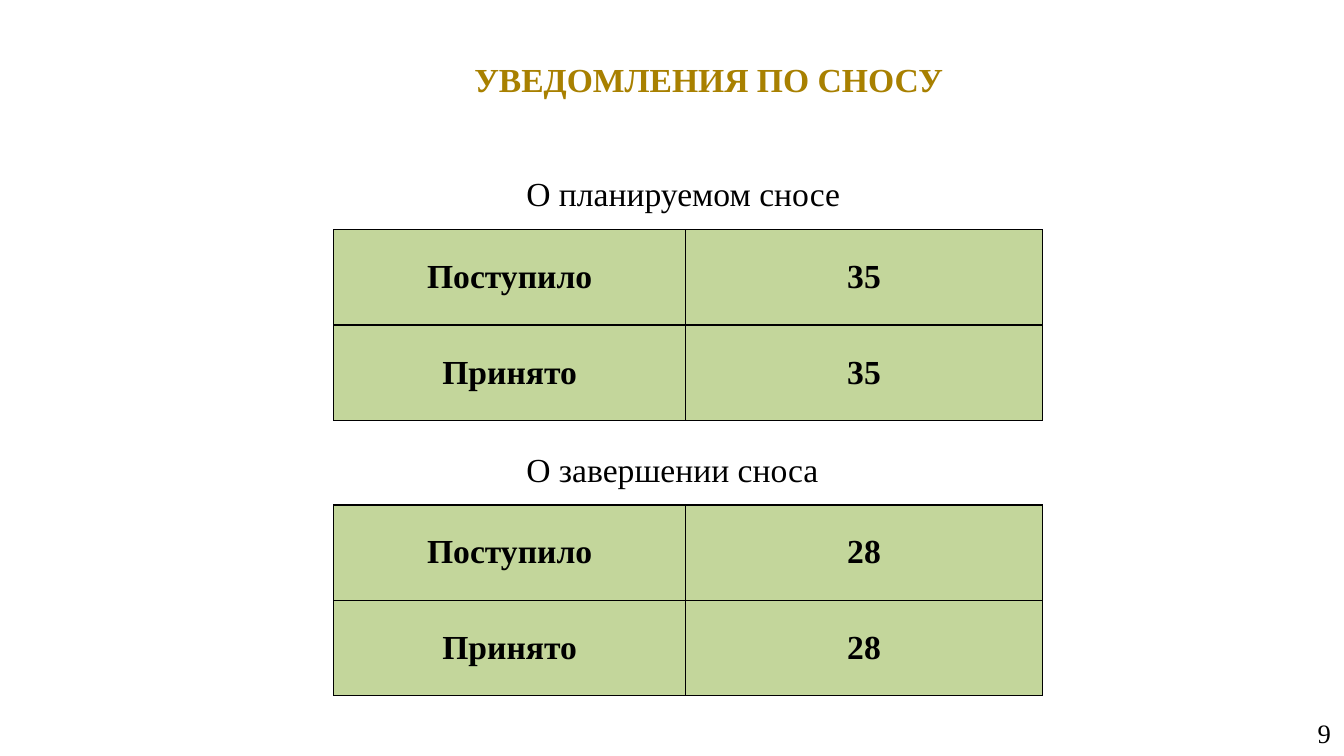
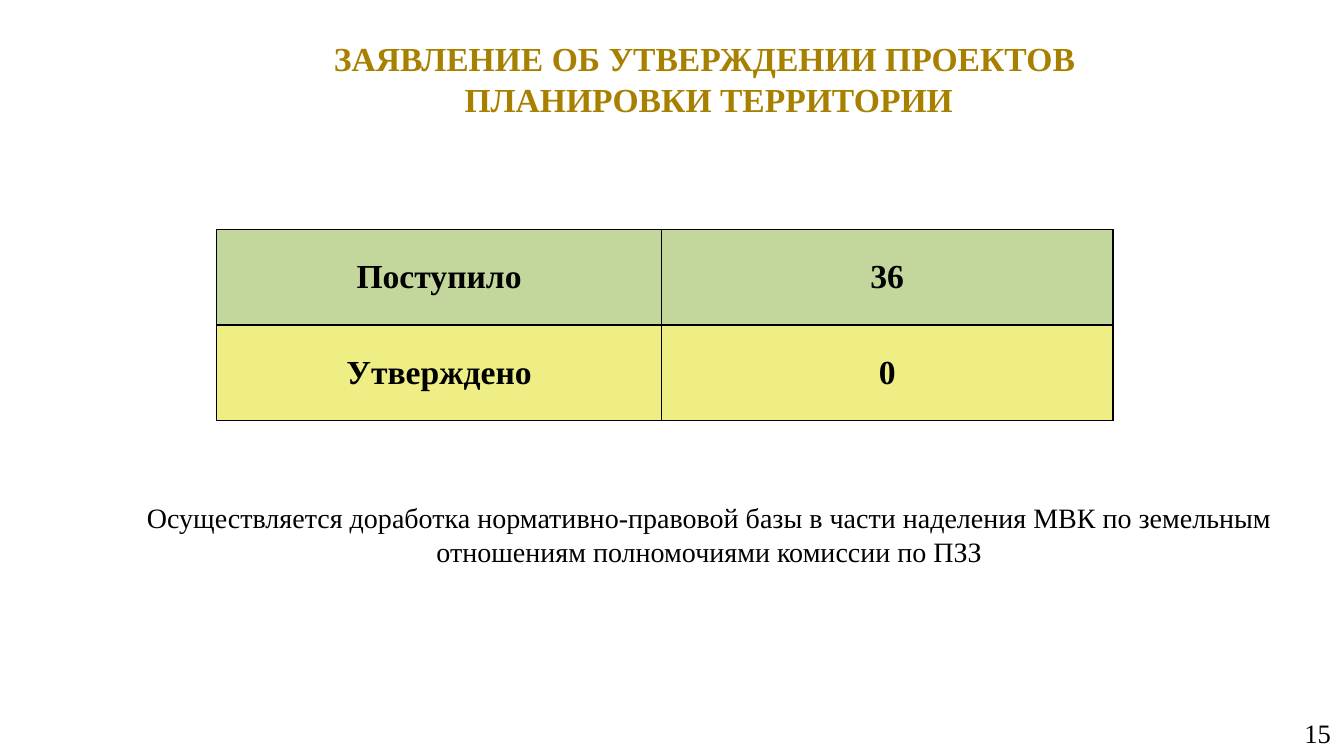
from dataclasses import dataclass
from typing import Optional

from lxml import etree
from pptx import Presentation
from pptx.dml import color
from pptx.enum import text
from pptx.oxml import ns
from pptx.util import Inches, Pt

COLORS = {
    "background": "FFFFFF",
    "title": "A88000",
    "text": "000000",
    "green": "C3D69B",
    "yellow": "EEEE84",
}
FONT = "Times New Roman"
BORDER_WIDTH = Pt(0.96)
ROW_HEIGHT = 0.945


@dataclass(frozen=True)
class Frame:
    left: float
    top: float
    width: float
    height: float


@dataclass(frozen=True)
class Row:
    label: str
    value: str
    fill: str = "green"


@dataclass(frozen=True)
class CountTable:
    left: float
    top: float
    columns: tuple[float, float]
    rows: tuple[Row, ...]


@dataclass(frozen=True)
class Label:
    frame: Frame
    content: str
    size: float = 24
    align: text.PP_ALIGN = text.PP_ALIGN.LEFT
    anchor: text.MSO_ANCHOR = text.MSO_ANCHOR.TOP


@dataclass(frozen=True)
class Page:
    title: tuple[str, ...]
    number: int
    tables: tuple[CountTable, ...]
    labels: tuple[Label, ...]


TITLE_FRAME = Frame(1.31, 0.28, 11.44, 1)
NUMBER_FRAME = Frame(10.22, 7.07, 3.11, 0.4)
NARROW_COLUMNS = (3.49, 3.54)
WIDE_COLUMNS = (4.41, 4.48)

PAGES = (
    Page(
        title=("УВЕДОМЛЕНИЯ ПО СНОСУ",),
        number=9,
        tables=(
            CountTable(3.31, 2.28, NARROW_COLUMNS,
                       (Row("Поступило", "35"), Row("Принято", "35"))),
            CountTable(3.31, 5.01, NARROW_COLUMNS,
                       (Row("Поступило", "28"), Row("Принято", "28"))),
        ),
        labels=(
            Label(Frame(5.09, 1.65, 3.46, 0.53), "О планируемом сносе"),
            Label(Frame(5.09, 4.38, 3.24, 0.53), "О завершении сноса"),
        ),
    ),
    Page(
        title=("ЗАЯВЛЕНИЕ ОБ УТВЕРЖДЕНИИ ПРОЕКТОВ ", "ПЛАНИРОВКИ ТЕРРИТОРИИ"),
        number=15,
        tables=(
            CountTable(2.15, 2.28, WIDE_COLUMNS,
                       (Row("Поступило", "36"), Row("Утверждено", "0", "yellow"))),
        ),
        labels=(
            Label(Frame(1.08, 4.83, 11.91, 0.94),
                  "Осуществляется доработка нормативно-правовой базы в части наделения "
                  "МВК по земельным отношениям полномочиями комиссии по ПЗЗ",
                  20, text.PP_ALIGN.CENTER, text.MSO_ANCHOR.MIDDLE),
        ),
    ),
)


def rgb(name: str) -> color.RGBColor:
    return color.RGBColor.from_string(COLORS[name])


def add_span(para, content: str, size: float, ink: str = "text", bold: bool = False) -> None:
    span = para.add_run()
    span.text = content
    span.font.name = FONT
    span.font.size = Pt(size)
    span.font.bold = bold
    span.font.color.rgb = rgb(ink)


def set_margins(target, across: float, along: float) -> None:
    target.margin_left = target.margin_right = Inches(across)
    target.margin_top = target.margin_bottom = Inches(along)


def prepare_frame(box, anchor: text.MSO_ANCHOR) -> None:
    box.text_frame.word_wrap = True
    box.text_frame.auto_size = text.MSO_AUTO_SIZE.NONE
    box.text_frame.vertical_anchor = anchor
    set_margins(box.text_frame, 0.13, 0.07)


def add_title(page, lines: tuple[str, ...]) -> None:
    box = page.shapes.title
    box.left, box.top = Inches(TITLE_FRAME.left), Inches(TITLE_FRAME.top)
    box.width, box.height = Inches(TITLE_FRAME.width), Inches(TITLE_FRAME.height)
    prepare_frame(box, text.MSO_ANCHOR.MIDDLE)
    para = box.text_frame.paragraphs[0]
    para.alignment = text.PP_ALIGN.CENTER
    for index, line in enumerate(lines):
        if index:
            para.add_line_break()
        add_span(para, line, 24, "title", True)


def add_label(page, label: Label) -> None:
    frame = label.frame
    box = page.shapes.add_textbox(Inches(frame.left), Inches(frame.top),
                                  Inches(frame.width), Inches(frame.height))
    prepare_frame(box, label.anchor)
    para = box.text_frame.paragraphs[0]
    para.alignment = label.align
    add_span(para, label.content, label.size)


def set_borders(cell) -> None:
    properties = cell._tc.get_or_add_tcPr()
    for index, side in enumerate(("lnL", "lnR", "lnT", "lnB")):
        line = etree.Element(ns.qn(f"a:{side}"), w=str(int(BORDER_WIDTH)))
        fill = etree.SubElement(line, ns.qn("a:solidFill"))
        etree.SubElement(fill, ns.qn("a:srgbClr"), val=COLORS["text"])
        properties.insert(index, line)


def fill_cell(cell, content: str, fill: str) -> None:
    cell.fill.solid()
    cell.fill.fore_color.rgb = rgb(fill)
    cell.vertical_anchor = text.MSO_ANCHOR.MIDDLE
    set_margins(cell, 0.13, 0.05)
    para = cell.text_frame.paragraphs[0]
    para.alignment = text.PP_ALIGN.CENTER
    add_span(para, content, 24, bold=True)
    set_borders(cell)


def add_count_table(page, counts: CountTable) -> None:
    table = page.shapes.add_table(
        len(counts.rows), len(counts.columns),
        Inches(counts.left), Inches(counts.top),
        Inches(sum(counts.columns)), Inches(ROW_HEIGHT * len(counts.rows))).table
    for column, width in zip(table.columns, counts.columns):
        column.width = Inches(width)
    for index, row in enumerate(counts.rows):
        table.rows[index].height = Inches(ROW_HEIGHT)
        for position, content in enumerate((row.label, row.value)):
            fill_cell(table.cell(index, position), content, row.fill)


def build_page(deck, content: Page, number_size: Optional[float] = 19) -> None:
    page = deck.slides.add_slide(deck.slide_layouts[5])
    page.background.fill.solid()
    page.background.fill.fore_color.rgb = rgb("background")
    add_title(page, content.title)
    add_label(page, Label(NUMBER_FRAME, str(content.number), number_size,
                          text.PP_ALIGN.RIGHT, text.MSO_ANCHOR.MIDDLE))
    for counts in content.tables:
        add_count_table(page, counts)
    for label in content.labels:
        add_label(page, label)


def main() -> None:
    deck = Presentation()
    deck.slide_width, deck.slide_height = Inches(13.33), Inches(7.5)
    for content in PAGES:
        build_page(deck, content)
    deck.save("out.pptx")


if __name__ == "__main__":
    main()
